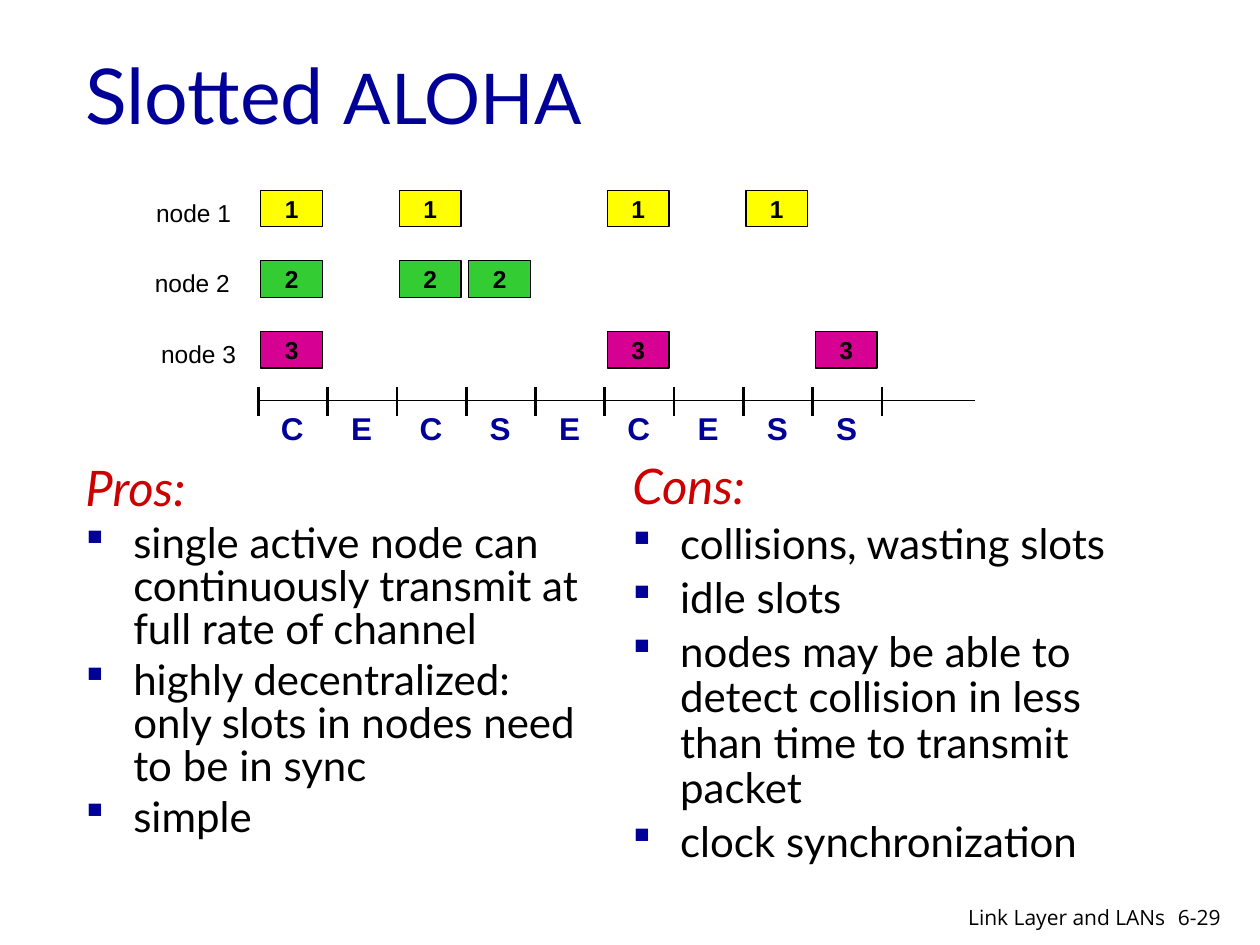
from dataclasses import dataclass

from lxml.etree import SubElement
from pptx import Presentation
from pptx.dml.color import RGBColor
from pptx.enum.shapes import MSO_CONNECTOR as Connector, MSO_SHAPE as Preset
from pptx.enum.text import MSO_ANCHOR as Anchor, MSO_AUTO_SIZE as AutoSize, PP_ALIGN as Align
from pptx.oxml.ns import qn
from pptx.util import Inches, Pt

COLORS = {"navy": "000099", "red": "CC0000", "black": "000000",
          "yellow": "FFFF00", "green": "33CC33", "magenta": "D60093"}
AXIS_LEFT, AXIS_RIGHT, AXIS_TOP = 2.05, 7.74, 3.18
SLOT_WIDTH = 0.55
ROW_TOP, ROW_PITCH = 1.51, 0.56
PACKET_WIDTH, PACKET_HEIGHT = 0.49, 0.29
OUTCOMES = "CECSECESS"


@dataclass(frozen=True)
class Node:
    number: int
    color: str
    slots: tuple[int, ...]
    label_left: float


@dataclass(frozen=True)
class Column:
    left: float
    top: float
    line_spacing: float
    heading: str
    points: tuple[str, ...]


@dataclass(frozen=True)
class Style:
    size: float
    font: str = "Arial"
    color: str = "black"
    bold: bool = False
    italic: bool = False


NODES = (
    Node(1, "yellow", (0, 2, 5, 7), 1.14),
    Node(2, "green", (0, 2, 3), 1.13),
    Node(3, "magenta", (0, 5, 8), 1.18),
)
COLUMNS = (
    Column(0.58, 3.65, 0.85, "Pros:", (
        "single active node can continuously transmit at full rate of channel",
        "highly decentralized: only slots in nodes need to be in sync",
        "simple")),
    Column(4.92, 3.62, 0.9, "Cons:", (
        "collisions, wasting slots",
        "idle slots",
        "nodes may be able to detect collision in less than time to transmit packet",
        "clock synchronization")),
)
TITLE = Style(44, "Lato", "navy")
HEADING = Style(28, "Lato", "red", italic=True)
POINT = Style(24, "Lato")
NODE_LABEL = Style(14)
PACKET = Style(14, bold=True)
OUTCOME = Style(18, color="navy", bold=True)
FOOTER = Style(12, "Open Sans")


def rgb(name: str) -> RGBColor:
    """Look up a named colour."""
    return RGBColor.from_string(COLORS[name])


def write(paragraph, text: str, style: Style, align=Align.LEFT) -> None:
    """Fill a paragraph with text in one style."""
    paragraph.text = text
    paragraph.alignment = align
    font = paragraph.font
    font.size, font.name = Pt(style.size), style.font
    font.bold, font.italic = style.bold, style.italic
    font.color.rgb = rgb(style.color)


def add_text(slide, left: float, top: float, width: float, height: float,
             text: str, style: Style, align=Align.LEFT, wrap: bool = False):
    """Add a text box and return its frame."""
    box = slide.shapes.add_textbox(*map(Inches, (left, top, width, height)))
    frame = box.text_frame
    frame.word_wrap = wrap
    frame.auto_size = AutoSize.NONE if wrap else AutoSize.SHAPE_TO_FIT_TEXT
    write(frame.paragraphs[0], text, style, align)
    return frame


def add_line(slide, start: tuple[float, float], end: tuple[float, float],
             width: float) -> None:
    """Add a plain black line without a shadow."""
    line = slide.shapes.add_connector(Connector.STRAIGHT, *map(Inches, start + end))
    line.line.color.rgb = rgb("black")
    line.line.width = Pt(width)
    SubElement(line._element.spPr, qn("a:effectLst"))


def add_packet(slide, node: Node, slot: int, top: float) -> None:
    """Add a numbered packet at the start of a time slot."""
    left = AXIS_LEFT + 0.02 + slot * SLOT_WIDTH
    packet = slide.shapes.add_shape(
        Preset.RECTANGLE, *map(Inches, (left, top, PACKET_WIDTH, PACKET_HEIGHT)))
    packet.shadow.inherit = False
    packet.fill.solid()
    packet.fill.fore_color.rgb = rgb(node.color)
    packet.line.color.rgb = rgb("black")
    packet.line.width = Pt(0.75)
    frame = packet.text_frame
    frame.margin_top = frame.margin_bottom = 0
    frame.vertical_anchor = Anchor.MIDDLE
    write(frame.paragraphs[0], str(node.number), PACKET, Align.CENTER)


def add_node(slide, row: int, node: Node) -> None:
    """Add one node's label and its packets."""
    top = ROW_TOP + row * ROW_PITCH
    label = add_text(slide, node.label_left, top + 0.01, 0.79, 0.33,
                     f"node {node.number}", NODE_LABEL)
    label.margin_right = 0
    for slot in node.slots:
        add_packet(slide, node, slot, top)


def add_axis(slide) -> None:
    """Add the time axis with its ticks and slot outcomes."""
    add_line(slide, (AXIS_LEFT, AXIS_TOP), (AXIS_RIGHT, AXIS_TOP), 0.75)
    for tick in range(len(OUTCOMES) + 1):
        left = AXIS_LEFT + tick * SLOT_WIDTH
        add_line(slide, (left, AXIS_TOP - 0.11), (left, AXIS_TOP + 0.12), 1.5)
    for slot, outcome in enumerate(OUTCOMES):
        left = AXIS_LEFT + slot * SLOT_WIDTH + 0.08
        add_text(slide, left, AXIS_TOP + 0.02, 0.38, 0.4, outcome, OUTCOME, Align.CENTER)


def add_bullet(paragraph) -> None:
    """Give a paragraph a navy square bullet with a hanging indent."""
    properties = paragraph._p.get_or_add_pPr()
    properties.set("marL", str(Inches(0.38)))
    properties.set("indent", str(Inches(-0.38)))
    color = SubElement(properties, qn("a:buClr"))
    SubElement(color, qn("a:srgbClr"), val=COLORS["navy"])
    SubElement(properties, qn("a:buFont"), typeface="Wingdings", charset="2")
    SubElement(properties, qn("a:buChar"), char="§")


def add_column(slide, column: Column) -> None:
    """Add a heading followed by bulleted points."""
    frame = add_text(slide, column.left, column.top, 4.17, 3.5,
                     column.heading, HEADING, wrap=True)
    for point in column.points:
        write(frame.add_paragraph(), point, POINT)
    for index, paragraph in enumerate(frame.paragraphs):
        paragraph.line_spacing = column.line_spacing
        paragraph.space_before = Pt(paragraph.font.size.pt * 0.2)
        if index:
            add_bullet(paragraph)


def build() -> None:
    """Build and save the slide."""
    presentation = Presentation()
    presentation.slide_width, presentation.slide_height = Inches(10), Inches(7.5)
    slide = presentation.slides.add_slide(presentation.slide_layouts[6])
    for column in COLUMNS:
        add_column(slide, column)
    title = add_text(slide, 0.58, 0.12, 5.42, 1.25, "Slotted ", TITLE, wrap=True)
    title.vertical_anchor = Anchor.MIDDLE
    acronym = title.paragraphs[0].add_run()
    acronym.text = "ALOHA"
    acronym.font.size = Pt(40)
    for row, node in enumerate(NODES):
        add_node(slide, row, node)
    add_axis(slide)
    add_text(slide, 9.25, 7.13, 0.6, 0.3, "6-29", FOOTER, wrap=True)
    add_text(slide, 6.97, 7.13, 2.38, 0.26, "Link Layer and LANs", FOOTER,
             Align.RIGHT, wrap=True)
    presentation.save("out.pptx")


build()
